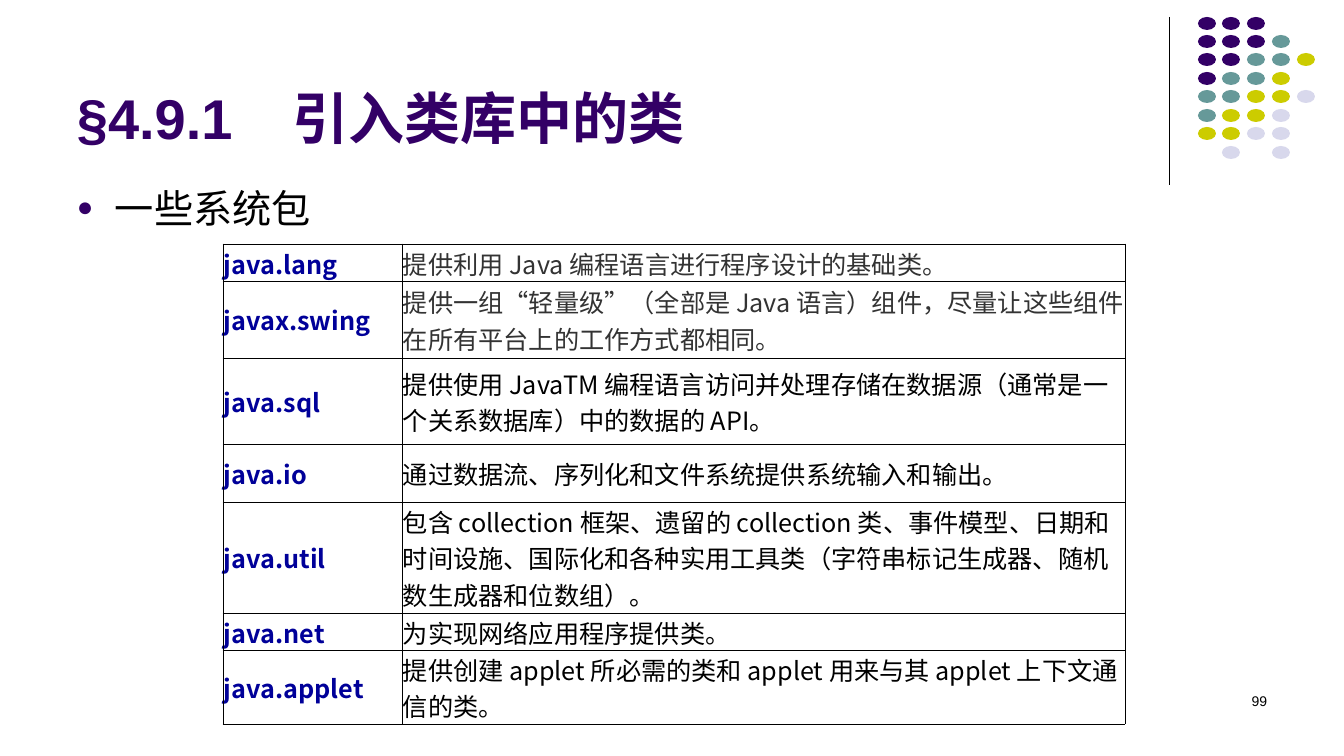
import pptx
import pptx.dml.color
import pptx.enum.shapes
import pptx.enum.text
import pptx.oxml
import pptx.oxml.ns
import pptx.util
from lxml import etree

SCALE = 914400 / 100.8
COLORS = {
    "purple": "330066", "teal": "669999", "lime": "CCCC00", "lavender": "D8D8EC",
    "navy": "000099", "gray": "333333", "black": "000000", "white": "FFFFFF",
}
DOT_COLORS = {"P": "purple", "T": "teal", "L": "lime", "V": "lavender"}
DOT_ROWS = ["PPP", "PPPT", "PPTTL", "PTTL", "TTLLV", "TLLV", "LLVV", " V V"]
PACKAGES = [
    ("java.lang", "提供利用 Java 编程语言进行程序设计的基础类。", "gray", 37),
    ("javax.swing", "提供一组“轻量级”（全部是 Java 语言）组件，尽量让这些组件在所有平台上的工作方式都相同。", "gray", 77),
    ("java.sql", "提供使用 JavaTM 编程语言访问并处理存储在数据源（通常是一个关系数据库）中的数据的 API。", "black", 86),
    ("java.io", "通过数据流、序列化和文件系统提供系统输入和输出。", "black", 58),
    ("java.util", "包含 collection 框架、遗留的 collection 类、事件模型、日期和时间设施、国际化和各种实用工具类（字符串标记生成器、随机数生成器和位数组）。", "black", 111),
    ("java.net", "为实现网络应用程序提供类。", "black", 37),
    ("java.applet", "提供创建 applet 所必需的类和 applet 用来与其 applet 上下文通信的类。", "black", 74),
]


def px(n):
    return pptx.util.Emu(round(n * SCALE))


def rgb(name):
    return pptx.dml.color.RGBColor.from_string(COLORS[name])


def element(xml):
    tag, rest = xml[1:].split(" ", 1)
    return pptx.oxml.parse_xml(f'<{tag} {pptx.oxml.ns.nsdecls("a")} {rest}')


class Deck:
    """Draws styled elements on the current slide."""

    def __init__(self, width, height):
        self.prs = pptx.Presentation()
        self.prs.slide_width, self.prs.slide_height = px(width), px(height)
        self.latin, self.asian = "Arial", "Noto Sans CJK SC"
        self.table_font = "Noto Sans CJK JP"

    def slide(self):
        self.s = self.prs.slides.add_slide(self.prs.slide_layouts[6])
        fill = self.s.background.fill
        fill.solid()
        fill.fore_color.rgb = rgb("white")

    def style(self, p, size, color, bold=False, latin=None, asian=None):
        font = p.font
        font.size, font.bold = pptx.util.Pt(size), bold
        font.color.rgb = rgb(color)
        font.name = latin or self.latin
        props = p._p.pPr.find(pptx.oxml.ns.qn("a:defRPr"))
        props.append(element(f'<a:ea typeface="{asian or self.asian}"/>'))

    def text(self, x, y, w, h, text, size, color="black", bold=False,
             anchor="TOP", align="LEFT", tab=None, bullet=None):
        tf = self.s.shapes.add_textbox(px(x), px(y), px(w), px(h)).text_frame
        tf.word_wrap = True
        tf.vertical_anchor = getattr(pptx.enum.text.MSO_ANCHOR, anchor)
        p = tf.paragraphs[0]
        p.text = text
        p.alignment = getattr(pptx.enum.text.PP_ALIGN, align)
        props = p._p.get_or_add_pPr()
        if tab:
            props.append(element(f'<a:tabLst ><a:tab pos="{px(tab)}" algn="l"/></a:tabLst>'))
        if bullet:
            props.set("marL", str(px(38)))
            props.set("indent", str(px(-38)))
            props.append(element(f'<a:buClr ><a:srgbClr val="{COLORS["purple"]}"/></a:buClr>'))
            props.append(element('<a:buSzPct val="70000"/>'))
            props.append(element(f'<a:buFont typeface="{self.latin}"/>'))
            props.append(element(f'<a:buChar char="{bullet}"/>'))
        self.style(p, size, color, bold)

    def line(self, x1, y1, x2, y2):
        c = self.s.shapes.add_connector(
            pptx.enum.shapes.MSO_CONNECTOR.STRAIGHT, px(x1), px(y1), px(x2), px(y2))
        c.line.color.rgb = rgb("black")
        c.line.width = pptx.util.Pt(0.75)
        etree.SubElement(c._element.spPr, pptx.oxml.ns.qn("a:effectLst"))

    def dot(self, x, y, w, h, color):
        sp = self.s.shapes.add_shape(
            pptx.enum.shapes.MSO_SHAPE.OVAL, px(x), px(y), px(w), px(h))
        sp.shadow.inherit = False
        sp.fill.solid()
        sp.fill.fore_color.rgb = rgb(color)
        sp.line.fill.background()

    def cell(self, cell, text, color, bold):
        cell.margin_left = cell.margin_right = cell.margin_top = px(1)
        cell.margin_bottom = 0
        cell.vertical_anchor = pptx.enum.text.MSO_ANCHOR.MIDDLE
        cell.fill.background()
        props = cell._tc.get_or_add_tcPr()
        for i, side in enumerate("LRTB"):
            props.insert(i, element(
                f'<a:ln{side} w="6350"><a:solidFill><a:srgbClr val="{COLORS["black"]}"/>'
                f'</a:solidFill></a:ln{side}>'))
        p = cell.text_frame.paragraphs[0]
        p.text = text
        self.style(p, 18, color, bold, self.table_font, self.table_font)

    def table(self, x, y, widths, rows):
        heights = [row[-1] for row in rows]
        table = self.s.shapes.add_table(
            len(rows), len(widths), px(x), px(y), px(sum(widths)), px(sum(heights))).table
        table.first_row = table.horz_banding = False
        for column, width in zip(table.columns, widths):
            column.width = px(width)
        for i, (name, description, color, height) in enumerate(rows):
            table.rows[i].height = px(height)
            self.cell(table.cell(i, 0), name, "navy", True)
            self.cell(table.cell(i, 1), description, color, False)


def main():
    deck = Deck(1344, 756)
    deck.slide()
    deck.line(1170, 17, 1170, 185)
    for row, dots in enumerate(DOT_ROWS):
        for col, key in enumerate(dots):
            if key in DOT_COLORS:
                deck.dot(1198 + col * 99 // 4, 17 + row * 129 // 7, 18, 13, DOT_COLORS[key])
    deck.text(67, 13, 1109, 143, "§4.9.1\t引入类库中的类", 40, "purple", True,
              anchor="BOTTOM", tab=216)
    deck.text(67, 179, 1210, 496, "一些系统包", 28, bullet="●")
    deck.text(964, 688, 313, 50, "99", 10, align="RIGHT")
    deck.table(223, 244, [179, 723], PACKAGES)
    deck.prs.save("out.pptx")


if __name__ == "__main__":
    main()
